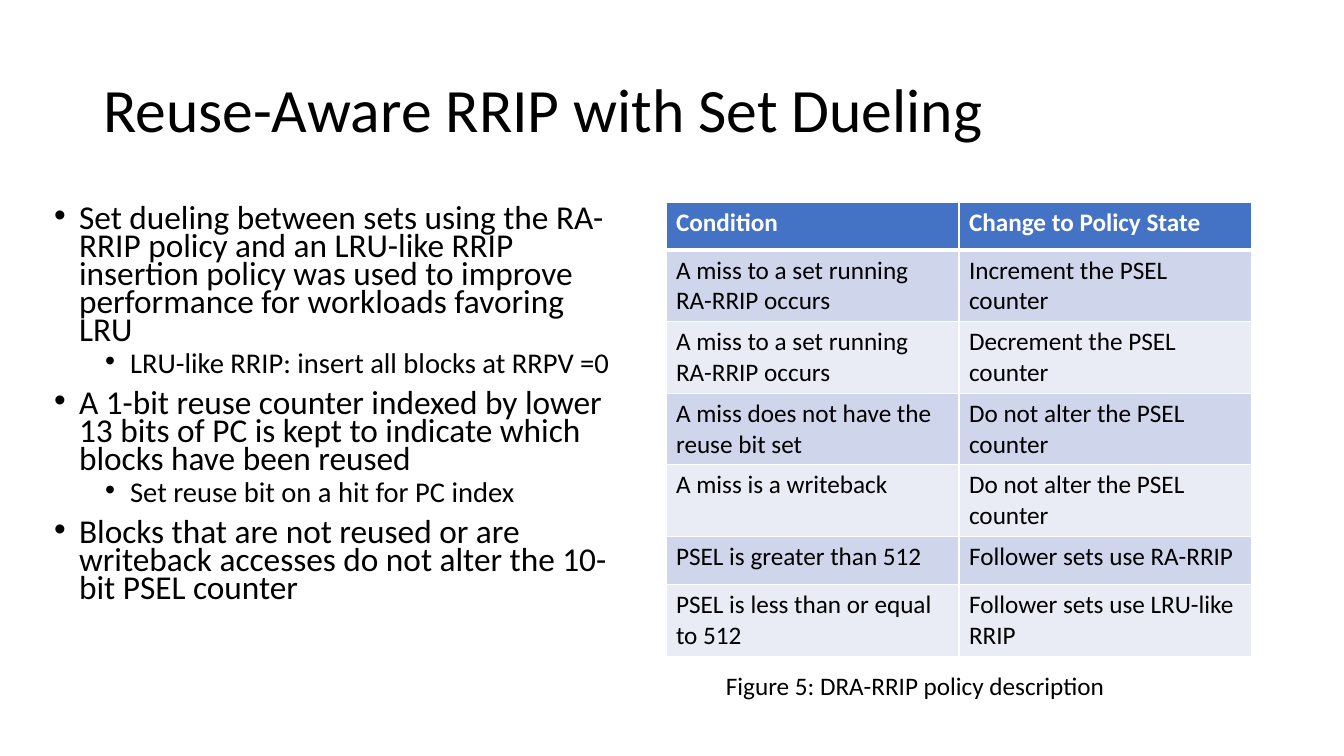
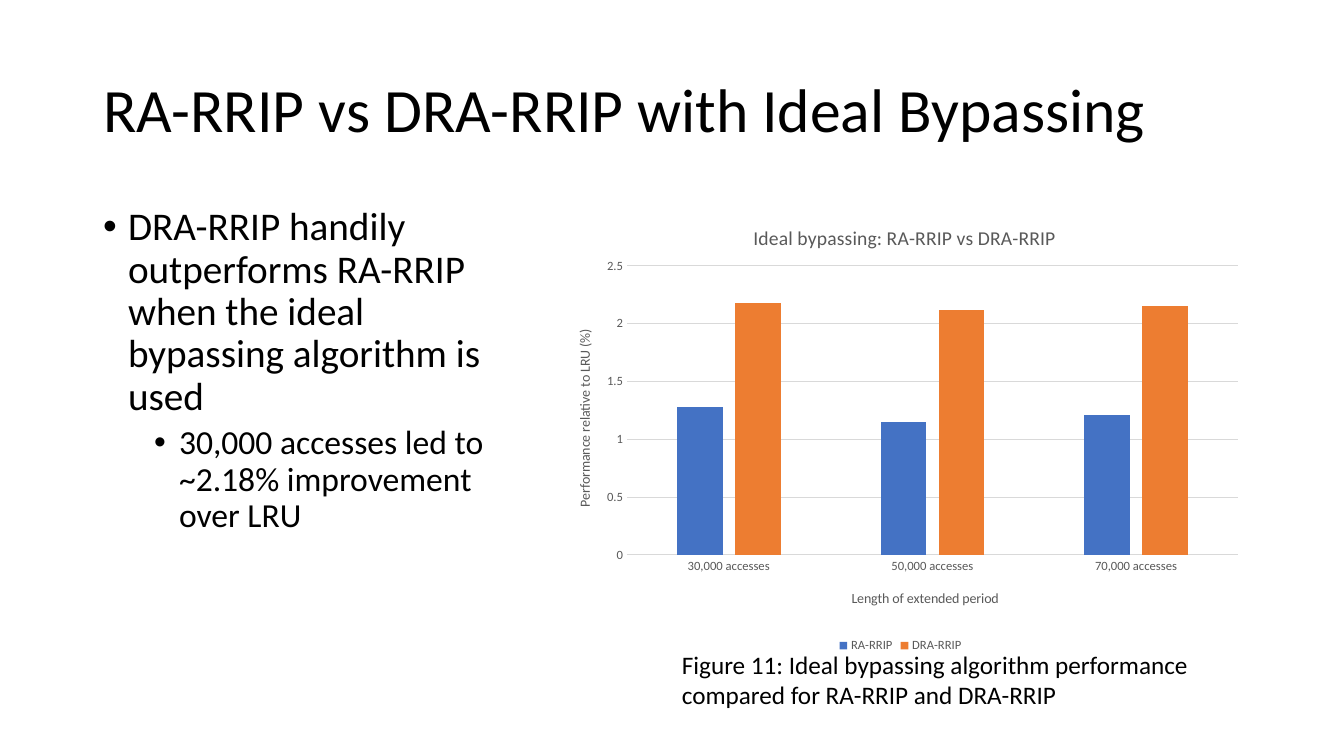
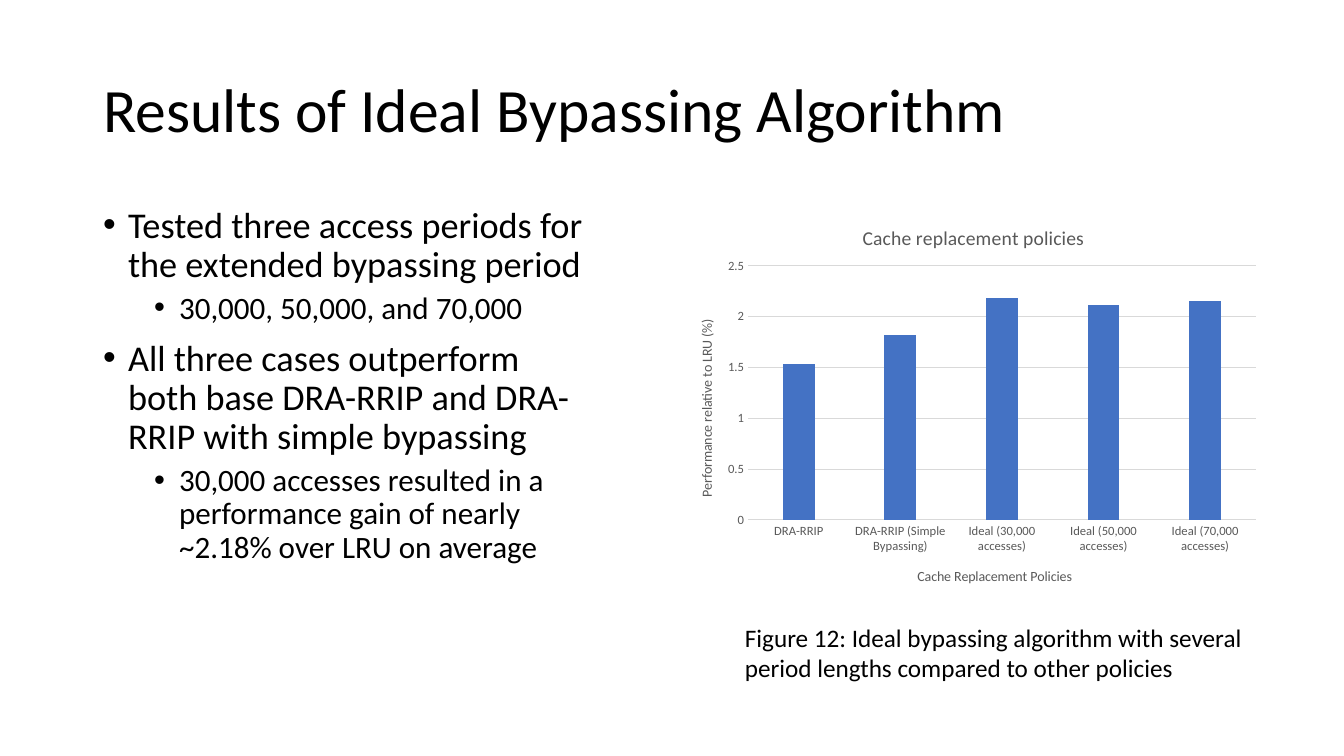
"""Build three slides on reuse-aware cache replacement policies."""

from dataclasses import dataclass
from typing import Any

from lxml import etree
from pptx import Presentation
from pptx.chart.data import CategoryChartData
from pptx.dml.color import RGBColor
from pptx.enum.chart import XL_CHART_TYPE, XL_LEGEND_POSITION, XL_TICK_MARK
from pptx.enum.text import MSO_ANCHOR, MSO_AUTO_SIZE, PP_ALIGN
from pptx.oxml.ns import qn
from pptx.util import Emu, Pt

EMU_PER_PIXEL = 914400 / 100.8
FONT_NAME = "Calibri"
BLACK = RGBColor(0x00, 0x00, 0x00)
WHITE = RGBColor(0xFF, 0xFF, 0xFF)
GRAY = RGBColor(0x59, 0x59, 0x59)
GRID = RGBColor(0xD9, 0xD9, 0xD9)
BLUE = RGBColor(0x44, 0x72, 0xC4)
ORANGE = RGBColor(0xED, 0x7D, 0x31)
BAND_DARK = RGBColor(0xCF, 0xD5, 0xEA)
BAND_LIGHT = RGBColor(0xE9, 0xEB, 0xF5)
SERIES_COLORS = (BLUE, ORANGE)

COLUMN_CLUSTERED = XL_CHART_TYPE.COLUMN_CLUSTERED
LEGEND_BOTTOM = XL_LEGEND_POSITION.BOTTOM
TICK_NONE = XL_TICK_MARK.NONE
ANCHOR_MIDDLE = MSO_ANCHOR.MIDDLE
ALIGN_LEFT = PP_ALIGN.LEFT
FIT_NONE = MSO_AUTO_SIZE.NONE
FIT_SHAPE = MSO_AUTO_SIZE.SHAPE_TO_FIT_TEXT

BULLET_INDENT = 25
LEVEL_INDENTS = (25, 76)
LEVEL_SPACING = (10, 5)


@dataclass(frozen=True)
class Box:
    """A rectangle in pixels."""

    left: int
    top: int
    width: int
    height: int

    def emu(self) -> tuple[Emu, Emu, Emu, Emu]:
        """Return left, top, width and height in EMU."""
        return pixels(self.left), pixels(self.top), pixels(self.width), pixels(self.height)


@dataclass(frozen=True)
class Bullets:
    """A two-level list with one text size per level."""

    box: Box
    sizes: tuple[float, float]
    line_spacing: float
    items: list[tuple[int, str]]


@dataclass(frozen=True)
class ChartTitle:
    """A chart or axis title with its top left corner in pixels."""

    text: str
    left: int
    top: int
    size: int = 10


@dataclass(frozen=True)
class ColumnChart:
    """A clustered column chart."""

    box: Box
    plot_box: Box
    title: ChartTitle
    category_title: ChartTitle
    value_title: ChartTitle
    categories: list[str]
    series: dict[str, list[float]]


@dataclass(frozen=True)
class PolicyTable:
    """A banded table with a header row."""

    box: Box
    row_heights: list[int]
    rows: list[tuple[str, str]]


@dataclass(frozen=True)
class Caption:
    """A figure caption."""

    box: Box
    text: str


@dataclass(frozen=True)
class SlideContent:
    """Everything that one slide shows."""

    title: str
    bullets: Bullets
    figure: ColumnChart | PolicyTable
    caption: Caption


TITLE_BOX = Box(93, 40, 1159, 146)

SLIDES = [
    SlideContent(
        "Reuse-Aware RRIP with Set Dueling",
        Bullets(Box(44, 202, 586, 425), (23.8, 20.4), 0.7, [
            (0, "Set dueling between sets using the RA-RRIP policy and an LRU-like RRIP "
                "insertion policy was used to improve performance for workloads favoring LRU"),
            (1, "LRU-like RRIP: insert all blocks at RRPV =0"),
            (0, "A 1-bit reuse counter indexed by lower 13 bits of PC is kept to indicate "
                "which blocks have been reused"),
            (1, "Set reuse bit on a hit for PC index"),
            (0, "Blocks that are not reused or are writeback accesses do not alter the "
                "10-bit PSEL counter"),
        ]),
        PolicyTable(Box(666, 202, 586, 451), [48, 71, 71, 71, 71, 48, 71], [
            ("Condition", "Change to Policy State"),
            ("A miss to a set running RA-RRIP occurs", "Increment the PSEL counter"),
            ("A miss to a set running RA-RRIP occurs", "Decrement the PSEL counter"),
            ("A miss does not have the reuse bit set", "Do not alter the PSEL counter"),
            ("A miss is a writeback", "Do not alter the PSEL counter"),
            ("PSEL is greater than 512", "Follower sets use RA-RRIP"),
            ("PSEL is less than or equal to 512", "Follower sets use LRU-like RRIP"),
        ]),
        Caption(Box(716, 665, 672, 40), "Figure 5: DRA-RRIP policy description"),
    ),
    SlideContent(
        "RA-RRIP vs DRA-RRIP with Ideal Bypassing",
        Bullets(Box(93, 202, 434, 455), (28, 24), 0.9, [
            (0, "DRA-RRIP handily outperforms RA-RRIP when the ideal bypassing algorithm is used"),
            (1, "30,000 accesses led to ~2.18% improvement over LRU"),
        ]),
        ColumnChart(
            Box(550, 202, 701, 455),
            Box(627, 266, 611, 289),
            ChartTitle("Ideal bypassing: RA-RRIP vs DRA-RRIP", 750, 221, 14),
            ChartTitle("Length of extended period", 849, 587),
            ChartTitle("Performance relative to LRU (%)", 573, 327),
            ["30,000 accesses", "50,000 accesses", "70,000 accesses"],
            {"RA-RRIP": [1.28, 1.15, 1.21], "DRA-RRIP": [2.18, 2.12, 2.15]},
        ),
        Caption(Box(672, 644, 533, 71), "Figure 11: Ideal bypassing algorithm performance "
                "compared for RA-RRIP and DRA-RRIP"),
    ),
    SlideContent(
        "Results of Ideal Bypassing Algorithm",
        Bullets(Box(93, 202, 503, 381), (25.9, 22.2), 0.9, [
            (0, "Tested three access periods for the extended bypassing period"),
            (1, "30,000, 50,000, and 70,000"),
            (0, "All three cases outperform both base DRA-RRIP and DRA-RRIP with simple bypassing"),
            (1, "30,000 accesses resulted in a performance gain of nearly ~2.18% over LRU "
                "on average"),
        ]),
        ColumnChart(
            Box(672, 202, 596, 401),
            Box(748, 266, 508, 254),
            ChartTitle("Cache replacement policies", 859, 221, 14),
            ChartTitle("Cache Replacement Policies", 915, 565),
            ChartTitle("Performance relative to LRU (%)", 695, 317),
            ["DRA-RRIP", "DRA-RRIP (Simple Bypassing)", "Ideal (30,000 accesses)",
             "Ideal (50,000 accesses)", "Ideal (70,000 accesses)"],
            {"Series 1": [1.53, 1.82, 2.18, 2.12, 2.15]},
        ),
        Caption(Box(735, 617, 533, 71), "Figure 12: Ideal bypassing algorithm with several "
                "period lengths compared to other policies"),
    ),
]


def pixels(count: float) -> Emu:
    """Convert pixels to EMU."""
    return Emu(round(count * EMU_PER_PIXEL))


def set_values(target: Any, values: dict[str, Any]) -> None:
    """Set each named attribute of the target."""
    for name, value in values.items():
        setattr(target, name, value)


def style_font(font: Any, size: float, color: RGBColor = BLACK, bold: bool = False) -> None:
    """Format a font."""
    set_values(font, {"name": FONT_NAME, "size": Pt(size), "bold": bold})
    font.color.rgb = color


def place_shape(shape: Any, box: Box) -> None:
    """Move and size a shape."""
    set_values(shape, dict(zip(("left", "top", "width", "height"), box.emu())))


def write_title(shape: Any, text: str) -> None:
    """Fill the title placeholder."""
    frame = shape.text_frame
    set_values(frame, {"text": text, "vertical_anchor": ANCHOR_MIDDLE, "auto_size": FIT_NONE})
    paragraph = frame.paragraphs[0]
    set_values(paragraph, {"alignment": ALIGN_LEFT, "line_spacing": 0.9})
    style_font(paragraph.runs[0].font, 44)


def write_bullets(shape: Any, bullets: Bullets) -> None:
    """Fill the body placeholder with a bulleted list."""
    place_shape(shape, bullets.box)
    frame = shape.text_frame
    frame.text = "\n".join(text for _, text in bullets.items)
    frame.auto_size = FIT_NONE
    for paragraph, (level, _) in zip(frame.paragraphs, bullets.items):
        set_values(paragraph, {
            "level": level,
            "line_spacing": bullets.line_spacing,
            "space_before": Pt(LEVEL_SPACING[level]),
        })
        properties = paragraph._p.get_or_add_pPr()
        properties.set("marL", str(pixels(LEVEL_INDENTS[level])))
        properties.set("indent", str(-pixels(BULLET_INDENT)))
        etree.SubElement(properties, qn("a:buFont"), typeface="Arial")
        etree.SubElement(properties, qn("a:buChar"), char="•")
        style_font(paragraph.runs[0].font, bullets.sizes[level])


def add_border(cell: Any, side: str, width: float) -> None:
    """Draw one white edge of a table cell."""
    line = etree.SubElement(cell._tc.get_or_add_tcPr(), qn(f"a:{side}"), w=str(Pt(width)))
    fill = etree.SubElement(line, qn("a:solidFill"))
    etree.SubElement(fill, qn("a:srgbClr"), val=str(WHITE))


def add_policy_table(slide: Any, content: PolicyTable) -> None:
    """Add a table with a blue header and banded rows."""
    column_count = len(content.rows[0])
    table = slide.shapes.add_table(len(content.rows), column_count, *content.box.emu()).table
    for column in table.columns:
        column.width = pixels(content.box.width / column_count)
    for row_index, texts in enumerate(content.rows):
        header = row_index == 0
        band = BAND_DARK if row_index % 2 else BAND_LIGHT
        borders = {"lnL": 1, "lnR": 1}
        borders |= {"lnT": 1, "lnB": 3} if header else {"lnB": 1}
        table.rows[row_index].height = pixels(content.row_heights[row_index])
        for column_index, text in enumerate(texts):
            cell = table.cell(row_index, column_index)
            cell.text = text
            style_font(cell.text_frame.paragraphs[0].runs[0].font, 18,
                       WHITE if header else BLACK, header)
            for side, width in borders.items():
                add_border(cell, side, width)
            cell.fill.solid()
            cell.fill.fore_color.rgb = BLUE if header else band


def set_layout(parent: Any, index: int, values: dict[str, Any]) -> None:
    """Give a chart part a manual layout."""
    for old_layout in parent.findall(qn("c:layout")):
        parent.remove(old_layout)
    layout = etree.Element(qn("c:layout"))
    manual = etree.SubElement(layout, qn("c:manualLayout"))
    for name, value in values.items():
        etree.SubElement(manual, qn(f"c:{name}"), val=str(value))
    parent.insert(index, layout)


def edge_values(chart_box: Box, left: int, top: int) -> dict[str, Any]:
    """Express a point as fractions of the chart area."""
    return {
        "xMode": "edge",
        "yMode": "edge",
        "x": round((left - chart_box.left) / chart_box.width, 4),
        "y": round((top - chart_box.top) / chart_box.height, 4),
    }


def write_chart_title(target: Any, title: ChartTitle, chart_box: Box) -> None:
    """Write and place a chart or axis title."""
    target.text_frame.text = title.text
    style_font(target.text_frame.paragraphs[0].runs[0].font, title.size, GRAY)
    set_layout(target.element, 1, edge_values(chart_box, title.left, title.top))


def add_column_chart(slide: Any, content: ColumnChart) -> None:
    """Add a clustered column chart."""
    data = CategoryChartData()
    data.categories = content.categories
    for name, values in content.series.items():
        data.add_series(name, values)
    chart = slide.shapes.add_chart(COLUMN_CLUSTERED, *content.box.emu(), data).chart
    style_font(chart.font, 10)

    plot = chart.plots[0]
    set_values(plot, {"gap_width": 219, "overlap": -27, "vary_by_categories": False})
    for series, color in zip(plot.series, SERIES_COLORS):
        series.format.fill.solid()
        series.format.fill.fore_color.rgb = color

    category_axis, value_axis = chart.category_axis, chart.value_axis
    for axis in (category_axis, value_axis):
        set_values(axis, {"major_tick_mark": TICK_NONE, "minor_tick_mark": TICK_NONE})
        style_font(axis.tick_labels.font, 9, GRAY)
    set_values(value_axis, {"minimum_scale": 0, "maximum_scale": 2.5, "major_unit": 0.5})
    value_axis.format.line.fill.background()
    for line in (category_axis.format.line, value_axis.major_gridlines.format.line):
        line.width = Pt(0.75)
        line.color.rgb = GRID

    write_chart_title(chart.chart_title, content.title, content.box)
    write_chart_title(category_axis.axis_title, content.category_title, content.box)
    write_chart_title(value_axis.axis_title, content.value_title, content.box)
    rotation = value_axis.axis_title.element.find(f".//{qn('a:bodyPr')}")
    rotation.set("rot", "-5400000")
    rotation.set("vert", "horz")

    plot_box = content.plot_box
    set_layout(chart.element.find(f".//{qn('c:plotArea')}"), 0, {
        "layoutTarget": "inner",
        **edge_values(content.box, plot_box.left, plot_box.top),
        "w": round(plot_box.width / content.box.width, 4),
        "h": round(plot_box.height / content.box.height, 4),
    })

    chart.has_legend = len(content.series) > 1
    if chart.has_legend:
        set_values(chart.legend, {"position": LEGEND_BOTTOM, "include_in_layout": False})
        style_font(chart.legend.font, 9, GRAY)


def add_caption(slide: Any, caption: Caption) -> None:
    """Add a figure caption."""
    frame = slide.shapes.add_textbox(*caption.box.emu()).text_frame
    set_values(frame, {"text": caption.text, "word_wrap": True, "auto_size": FIT_SHAPE})
    style_font(frame.paragraphs[0].runs[0].font, 18)


def add_slide(presentation: Any, layout: Any, content: SlideContent) -> None:
    """Add one slide with its list, figure and caption."""
    slide = presentation.slides.add_slide(layout)
    write_title(slide.shapes.title, content.title)
    write_bullets(slide.placeholders[1], content.bullets)
    if isinstance(content.figure, PolicyTable):
        add_policy_table(slide, content.figure)
    else:
        add_column_chart(slide, content.figure)
    add_caption(slide, content.caption)


def main() -> None:
    """Build and save the presentation."""
    presentation = Presentation()
    set_values(presentation, {"slide_width": pixels(1344), "slide_height": pixels(756)})
    layout = presentation.slide_layouts[1]
    place_shape(layout.placeholders[0], TITLE_BOX)
    for content in SLIDES:
        add_slide(presentation, layout, content)
    presentation.save("out.pptx")


main()
